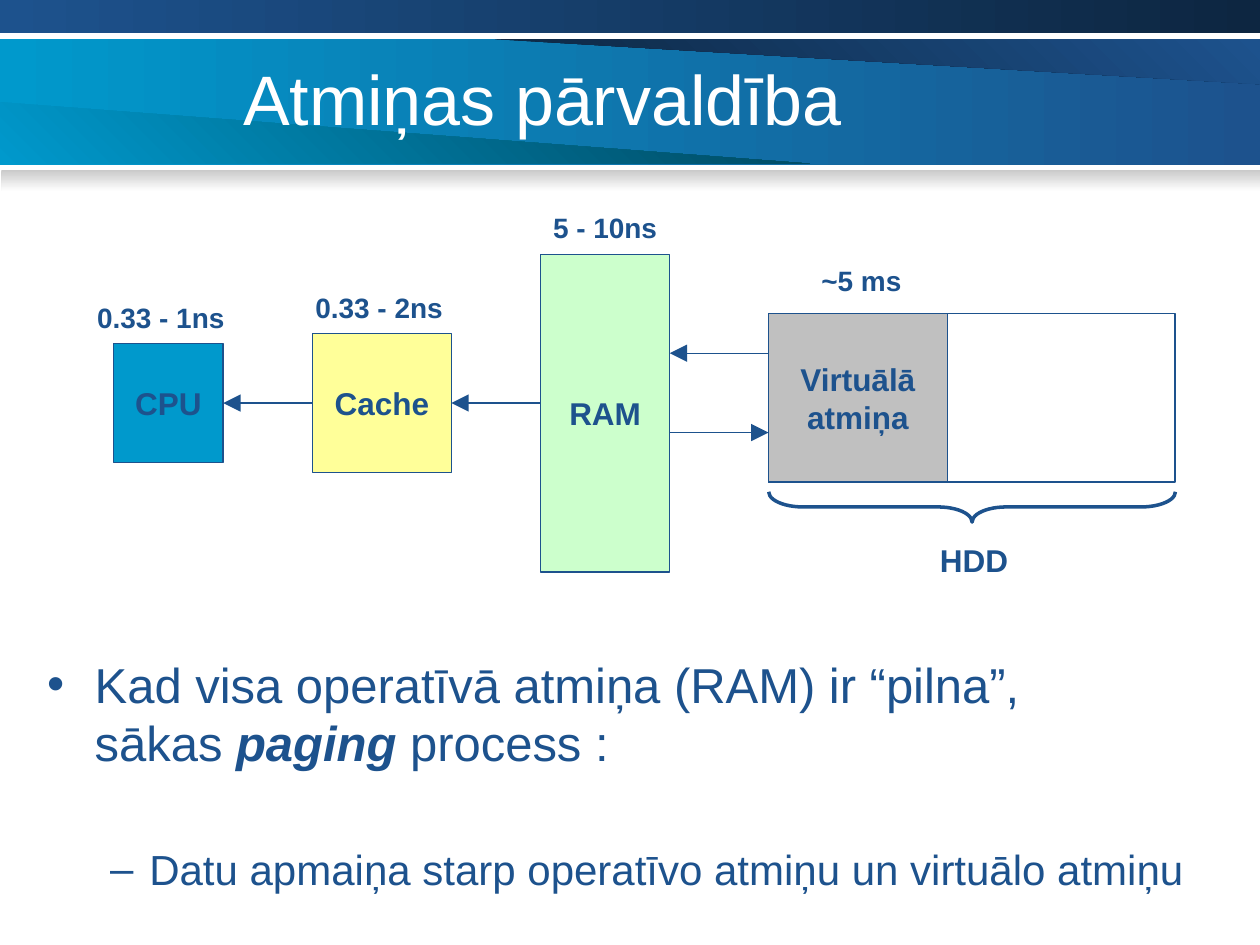
from typing import NamedTuple

from lxml.etree import SubElement as Sub
from pptx import Presentation
from pptx.dml.color import RGBColor
from pptx.enum.shapes import MSO_CONNECTOR as Link, MSO_SHAPE as Kind
from pptx.enum.text import MSO_ANCHOR as Anchor, PP_ALIGN as Align
from pptx.oxml.ns import qn
from pptx.util import Cm, Pt

BLUE = "1D528D"
NAVY = "0D2641"
CYAN = "0099CC"
TEAL = "00475E"
WHITE = "FFFFFF"


class Area(NamedTuple):
    x: float
    y: float
    w: float
    h: float


class Band(NamedTuple):
    area: Area
    start: str
    end: str
    angle: int


class Wedge(NamedTuple):
    points: tuple
    start: str
    end: str
    angle: int


class Box(NamedTuple):
    name: str
    area: Area
    fill: str
    lines: tuple


class Label(NamedTuple):
    text: str
    area: Area
    size: int


class Item(NamedTuple):
    mark: str
    left: float
    hang: float
    before: int
    size: int


def paint(color: str) -> RGBColor:
    return RGBColor.from_string(color)


def cms(*values: float) -> list:
    return [Cm(value) for value in values]


def blend(shape, start: str, end: str, angle: int) -> None:
    shape.shadow.inherit = False
    shape.line.fill.background()
    shape.fill.gradient()
    shape.fill.gradient_angle = angle
    for stop, color in zip(shape.fill.gradient_stops, (start, end)):
        stop.color.rgb = paint(color)


def style(para, size: int, color: str = BLUE, bold: bool = False) -> None:
    font = para.font
    font.name, font.size, font.bold = "Arial", Pt(size), bold
    font.color.rgb = paint(color)


def draw_band(band: Band) -> None:
    shape = shapes.add_shape(Kind.RECTANGLE, *cms(*band.area))
    blend(shape, band.start, band.end, band.angle)


def draw_wedge(wedge: Wedge) -> None:
    first, *rest = [cms(*point) for point in wedge.points]
    path = shapes.build_freeform(*first)
    path.add_line_segments(rest, close=True)
    blend(path.convert_to_shape(), wedge.start, wedge.end, wedge.angle)


def draw_box(box: Box):
    shape = shapes.add_shape(Kind.RECTANGLE, *cms(*box.area))
    shape.shadow.inherit = False
    if box.fill:
        shape.fill.solid()
        shape.fill.fore_color.rgb = paint(box.fill)
    else:
        shape.fill.background()
    shape.line.color.rgb = paint(BLUE)
    shape.line.width = Pt(0.75)
    frame = shape.text_frame
    frame.word_wrap = False
    frame.vertical_anchor = Anchor.MIDDLE
    for i, line in enumerate(box.lines):
        para = frame.add_paragraph() if i else frame.paragraphs[0]
        para.text = line
        para.alignment = Align.CENTER
        style(para, 18, bold=True)
    return shape


def draw_label(label: Label) -> None:
    frame = shapes.add_textbox(*cms(*label.area)).text_frame
    frame.word_wrap = True
    para = frame.paragraphs[0]
    para.text = label.text
    style(para, label.size, bold=True)


def draw_arrow(x1: float, x2: float, y: float):
    arrow = shapes.add_connector(Link.STRAIGHT, *cms(x1, y, x2, y))
    arrow.line.color.rgb = paint(BLUE)
    arrow.line.width = Pt(0.75)
    Sub(arrow.line._get_or_add_ln(), qn("a:tailEnd"), type="triangle", w="lg", len="lg")
    Sub(arrow._element.spPr, qn("a:effectLst"))
    return arrow


def set_item(para, item: Item) -> None:
    props = para._p.get_or_add_pPr()
    props.set("marL", str(Cm(item.left)))
    props.set("indent", str(-Cm(item.hang)))
    if item.before:
        para.space_before = Pt(item.before)
    Sub(Sub(props, qn("a:buClr")), qn("a:srgbClr"), val=BLUE)
    Sub(props, qn("a:buFont"), typeface="Arial")
    Sub(props, qn("a:buChar"), char=item.mark)
    style(para, item.size)


deck = Presentation()
deck.slide_width, deck.slide_height = Cm(25.4), Cm(19.05)
shapes = deck.slides.add_slide(deck.slide_layouts[6]).shapes

# Banner
draw_band(Band(Area(0, 0.79, 25.4, 2.54), CYAN, BLUE, 0))
draw_wedge(Wedge(((9.98, 0.79), (25.4, 1.7), (25.4, 0.79)), NAVY, BLUE, 45))
draw_wedge(Wedge(((0, 3.3), (16.33, 3.3), (0, 2.06)), CYAN, TEAL, 45))
draw_band(Band(Area(0, 0, 25.4, 0.66), BLUE, NAVY, 0))
draw_band(Band(Area(0.03, 3.43, 25.37, 0.43), "CACACA", WHITE, 270))

# Title
frame = shapes.add_textbox(*cms(4.65, 0.76, 18.42, 2.41)).text_frame
frame.word_wrap = True
frame.vertical_anchor = Anchor.MIDDLE
frame.paragraphs[0].text = "Atmiņas pārvaldība"
style(frame.paragraphs[0], 40, WHITE)

# Memory chain
cpu = Box("cpu", Area(2.29, 6.92, 2.21, 2.41), CYAN, ("CPU",))
cache = Box("cache", Area(6.3, 6.73, 2.8, 2.79), "FFFF99", ("Cache",))
ram = Box("ram", Area(10.9, 5.13, 2.6, 6.4), "CCFFCC", ("RAM",))
disk = Box("disk", Area(15.49, 6.32, 8.2, 3.4), "", ())
swap = Box("swap", Area(15.49, 6.32, 3.61, 3.4), "C0C0C0", ("Virtuālā", "atmiņa"))
made = {box.name: draw_box(box) for box in (cpu, cache, ram, disk, swap)}

# Data flow
edge = ram.area.x + ram.area.w
level = cache.area.y + cache.area.h / 2
flow = draw_arrow(6.3, 4.5, level)
flow.begin_connect(made["cache"], 1)
flow.end_connect(made["cpu"], 3)
flow = draw_arrow(ram.area.x, 9.1, level)
flow.end_connect(made["cache"], 3)
draw_arrow(disk.area.x, edge, 7.12)
draw_arrow(edge, disk.area.x, 8.72)

# Brace under the disk
brace = shapes.add_shape(Kind.RIGHT_BRACE, *cms(19.29, 6.12, 0.61, 8.2))
brace.rotation = 90
brace.adjustments[0] = 1.13
brace.shadow.inherit = False
brace.fill.background()
brace.line.color.rgb = paint(BLUE)
brace.line.width = Pt(2)

# Access times and disk name
for label in (
    Label("HDD", Area(18.7, 10.78, 2.4, 1.02), 18),
    Label("0.33 - 1ns", Area(1.71, 5.93, 3.6, 0.94), 16),
    Label("0.33 - 2ns", Area(6.11, 5.73, 3.6, 0.94), 16),
    Label("5 - 10ns", Area(10.9, 4.11, 3.2, 0.94), 16),
    Label("~5 ms", Area(16.31, 5.18, 2.8, 0.94), 16),
):
    draw_label(label)

# Explanation
frame = shapes.add_textbox(*cms(0.7, 13.06, 23.62, 5.11)).text_frame
frame.word_wrap = True
para = frame.paragraphs[0]
set_item(para, Item("•", 0.96, 0.96, 0, 28))
para.add_run().text = "Kad visa operatīvā atmiņa (RAM) ir “pilna”,"
para.add_line_break()
para.add_run().text = "sākas "
term = para.add_run()
term.text = "paging "
term.font.bold = term.font.italic = True
para.add_run().text = "process :"

para = frame.add_paragraph()
para.level = 1
set_item(para, Item("–", 2.06, 0.79, 41, 24))
para.add_run().text = "Datu apmaiņa starp operatīvo atmiņu un virtuālo atmiņu"

deck.save("out.pptx")
